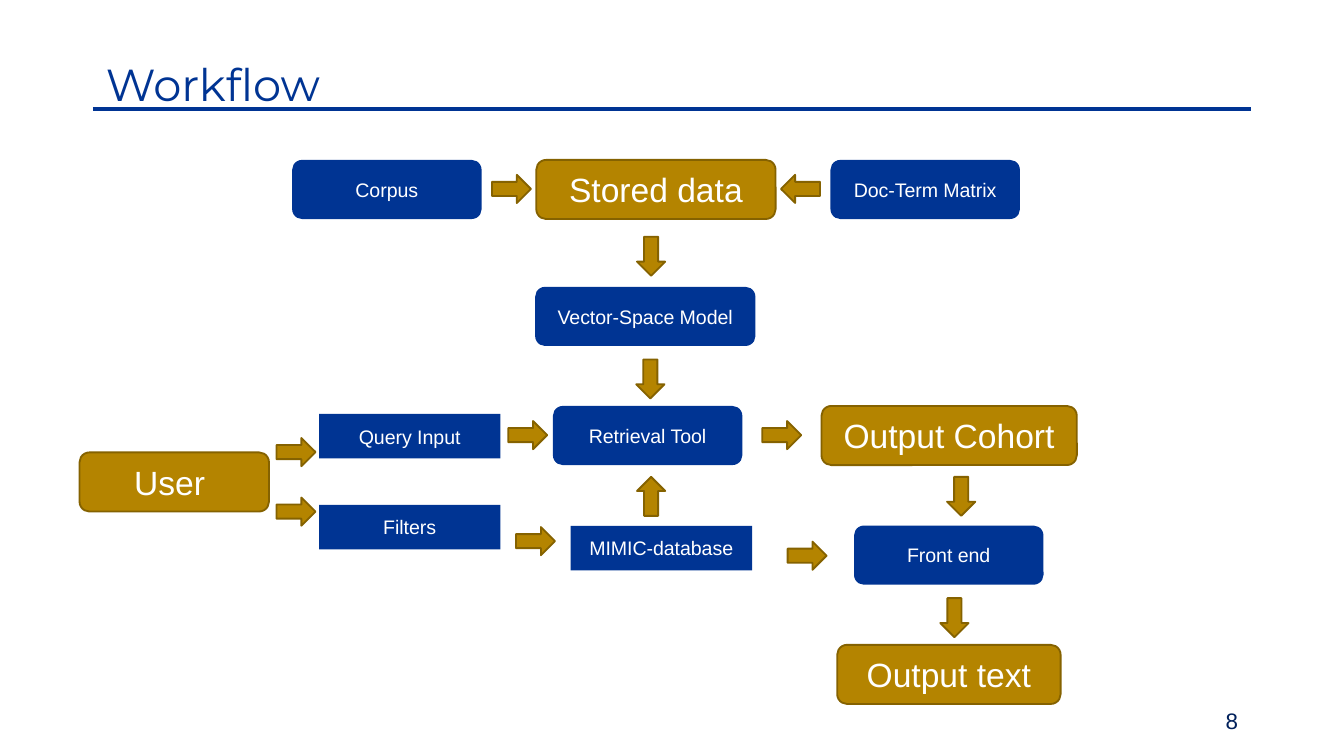
from lxml.etree import SubElement
from pptx import Presentation
from pptx.dml.color import RGBColor
from pptx.enum.shapes import MSO_CONNECTOR as Connector, MSO_SHAPE as Shape
from pptx.enum.text import MSO_ANCHOR as Anchor, PP_ALIGN as Align
from pptx.oxml.ns import qn
from pptx.util import Pt

COLORS = {
    "blue": "003493",
    "navy": "00205B",
    "gold": "B48400",
    "gold_edge": "856200",
    "white": "FFFFFF",
}

STEP_H, INPUT_W, INPUT_H = 31.7, 97.2, 23.8
STEP_W = 101.5
ARROW_W, ARROW_H = 20.9, 15.1
RIGHT, DOWN, LEFT, UP = 0, 90, 180, 270

# Label, left, top, width
ENDPOINTS = [
    ("Stored data", 287.3, 85.7, 128.2),
    ("User ", 42.6, 242.4, STEP_W),
    ("Output Cohort", 440.1, 217.5, 136.8),
    ("Output text", 448.5, 345.5, 119.7),
]
STEPS = [
    ("Corpus", 156.5, 85.7, STEP_W),
    ("Doc-Term Matrix", 444.9, 85.7, STEP_W),
    ("Vector-Space Model", 286.7, 153.7, 118),
    ("Retrieval Tool", 296.2, 217.5, STEP_W),
    ("Front end", 457.5, 281.6, STEP_W),
]
INPUTS = [
    ("Query Input", 170.9, 221.8),
    ("Filters", 170.9, 270.5),
    ("MIMIC-database", 305.7, 281.8),
]
# Centre x, centre y, direction
FLOWS = [
    (274, 101.2, RIGHT),      # Corpus to Stored data
    (428.8, 101.2, LEFT),     # Doc-Term Matrix to Stored data
    (348.8, 137.3, DOWN),     # Stored data to Vector-Space Model
    (348.4, 203, DOWN),       # Vector-Space Model to Retrieval Tool
    (158.6, 242.2, RIGHT),    # User to Query Input
    (158.6, 274.1, RIGHT),    # User to Filters
    (282.7, 233.1, RIGHT),    # Query Input to Retrieval Tool
    (286.9, 289.9, RIGHT),    # Filters to MIMIC-database
    (348.8, 265.9, UP),       # MIMIC-database to Retrieval Tool
    (418.8, 233.1, RIGHT),    # Retrieval Tool to Output Cohort
    (514.9, 265.9, DOWN),     # Output Cohort to Front end
    (432.4, 297.7, RIGHT),    # MIMIC-database to Front end
    (511.3, 330.9, DOWN),     # Front end to Output text
]


def color(name):
    return RGBColor.from_string(COLORS[name])


def write(frame, text, size, ink, align, anchor, font="Arial"):
    frame.word_wrap = True
    frame.vertical_anchor = anchor
    paragraph = frame.paragraphs[0]
    paragraph.alignment = align
    run = paragraph.add_run()
    run.text = text
    run.font.name = font
    run.font.size = Pt(size)
    run.font.color.rgb = color(ink)
    return paragraph


def add_label(slide, bounds, *style):
    label = slide.shapes.add_textbox(*map(Pt, bounds))
    return write(label.text_frame, *style)


def add_block(slide, kind, bounds, fill, edge=None):
    block = slide.shapes.add_shape(kind, *map(Pt, bounds))
    block.shadow.inherit = False
    block.fill.solid()
    block.fill.fore_color.rgb = color(fill)
    if edge:
        block.line.color.rgb = color(edge)
        block.line.width = Pt(1)
    else:
        block.line.fill.background()
    return block


def add_node(slide, text, size, *look):
    node = add_block(slide, *look)
    write(node.text_frame, text, size, "white", Align.CENTER, Anchor.MIDDLE)


def add_flow(slide, x, y, direction):
    bounds = (x - ARROW_W / 2, y - ARROW_H / 2, ARROW_W, ARROW_H)
    flow = add_block(slide, Shape.RIGHT_ARROW, bounds, "gold", "gold_edge")
    flow.rotation = direction


def add_rule(slide, left, right, y):
    rule = slide.shapes.add_connector(
        Connector.STRAIGHT, Pt(left), Pt(y), Pt(right), Pt(y))
    rule.line.color.rgb = color("blue")
    rule.line.width = Pt(2.25)
    SubElement(rule.element.spPr, qn("a:effectLst"))


def main():
    deck = Presentation()
    deck.slide_width, deck.slide_height = Pt(720), Pt(405)
    slide = deck.slides.add_slide(deck.slide_layouts[6])

    # Heading and page number
    add_rule(slide, 49.7, 670.3, 58.3)
    heading = add_label(slide, (49.7, 30.2, 620.6, 27.4), "Workflow", 24,
                        "blue", Align.LEFT, Anchor.TOP, "Montserrat")
    heading.line_spacing = 0.9
    add_label(slide, (508.3, 375.1, 162, 21.6), "8", 12,
              "navy", Align.RIGHT, Anchor.BOTTOM)

    # Nodes
    for text, left, top, width in ENDPOINTS:
        add_node(slide, text, 18, Shape.ROUNDED_RECTANGLE,
                 (left, top, width, STEP_H), "gold", "gold_edge")
    for text, left, top, width in STEPS:
        add_node(slide, text, 10.5, Shape.ROUNDED_RECTANGLE,
                 (left, top, width, STEP_H), "blue")
    for text, left, top in INPUTS:
        add_node(slide, text, 10.5, Shape.RECTANGLE,
                 (left, top, INPUT_W, INPUT_H), "blue")

    # Block arrows between the nodes
    for x, y, direction in FLOWS:
        add_flow(slide, x, y, direction)

    deck.save("out.pptx")


if __name__ == "__main__":
    main()
